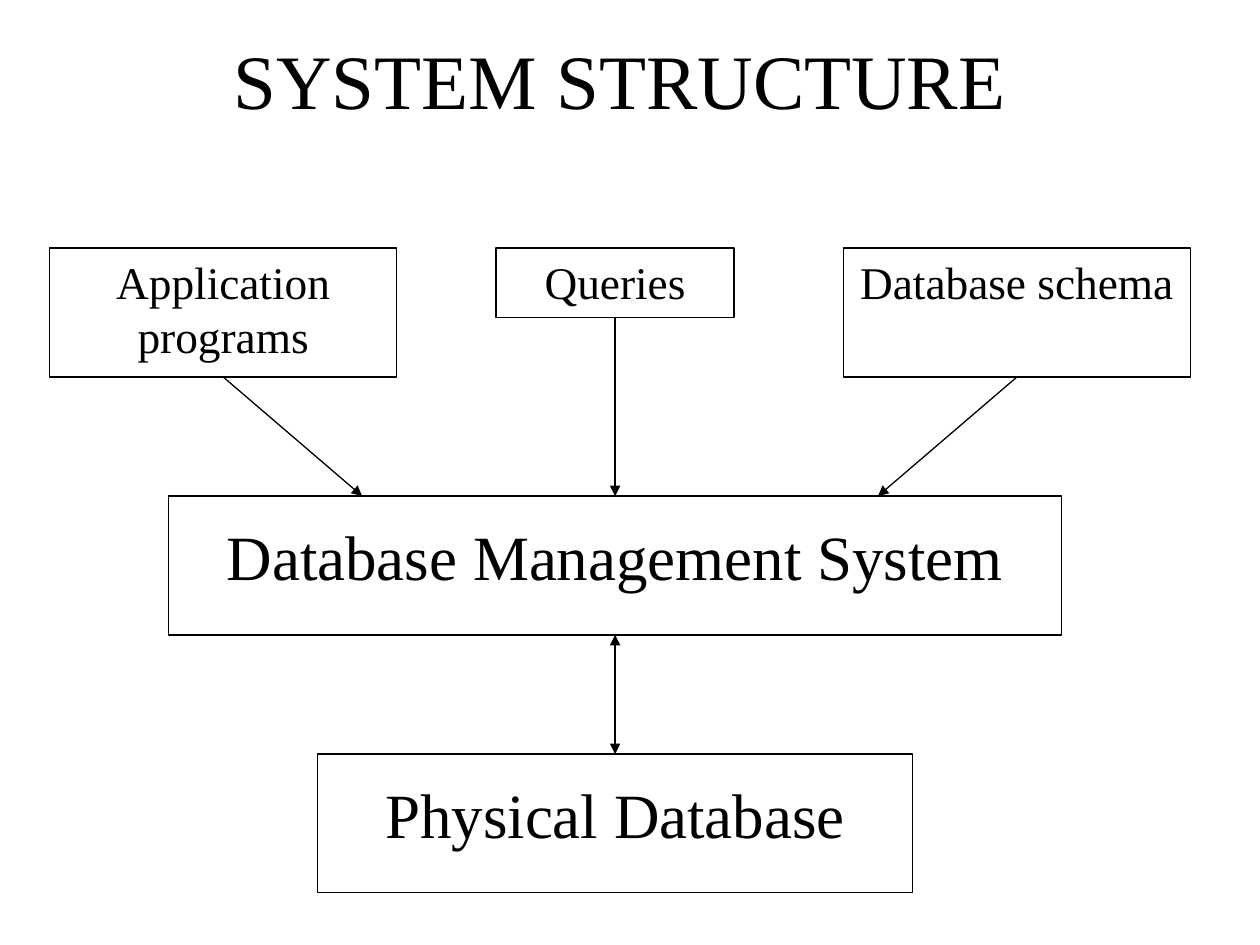
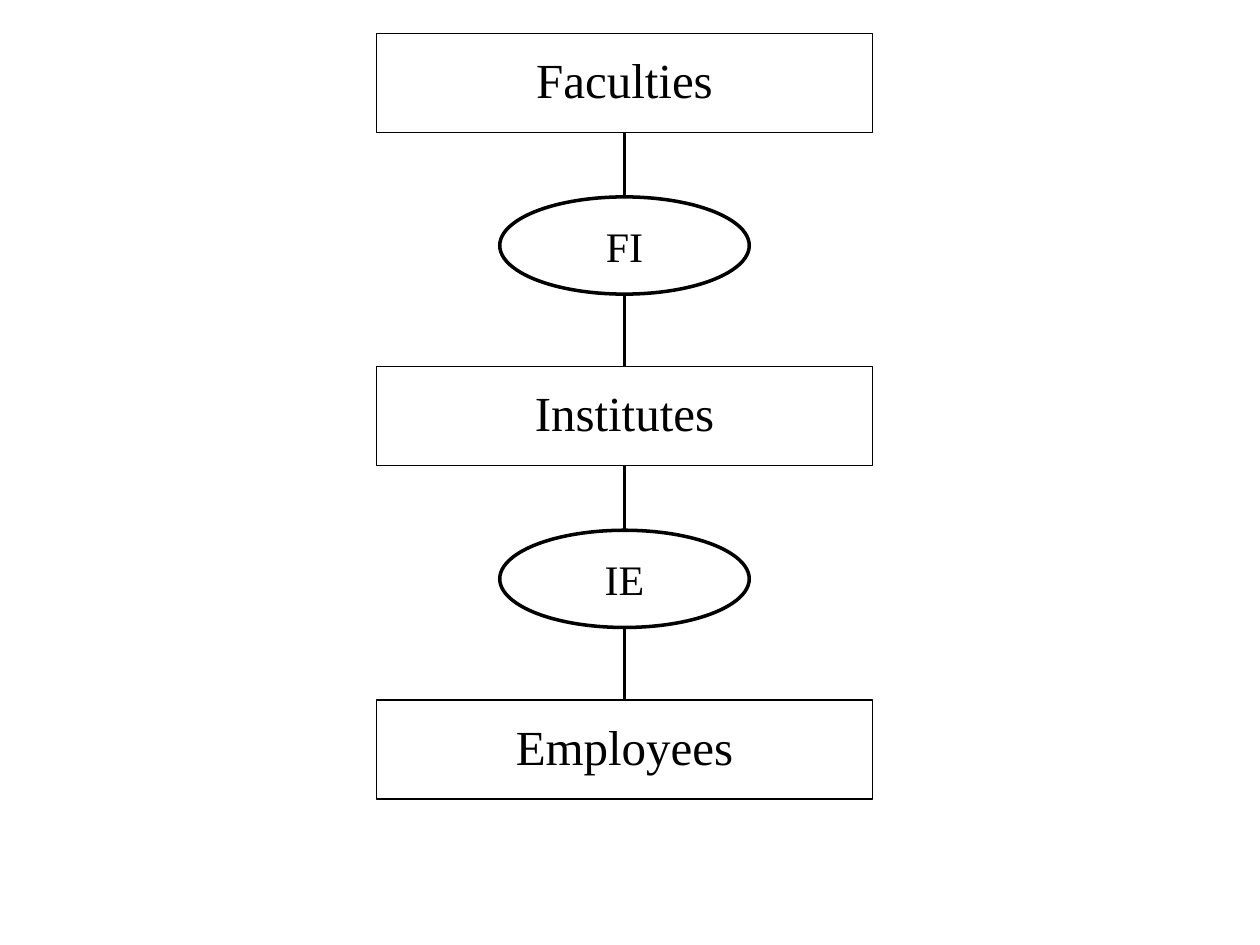
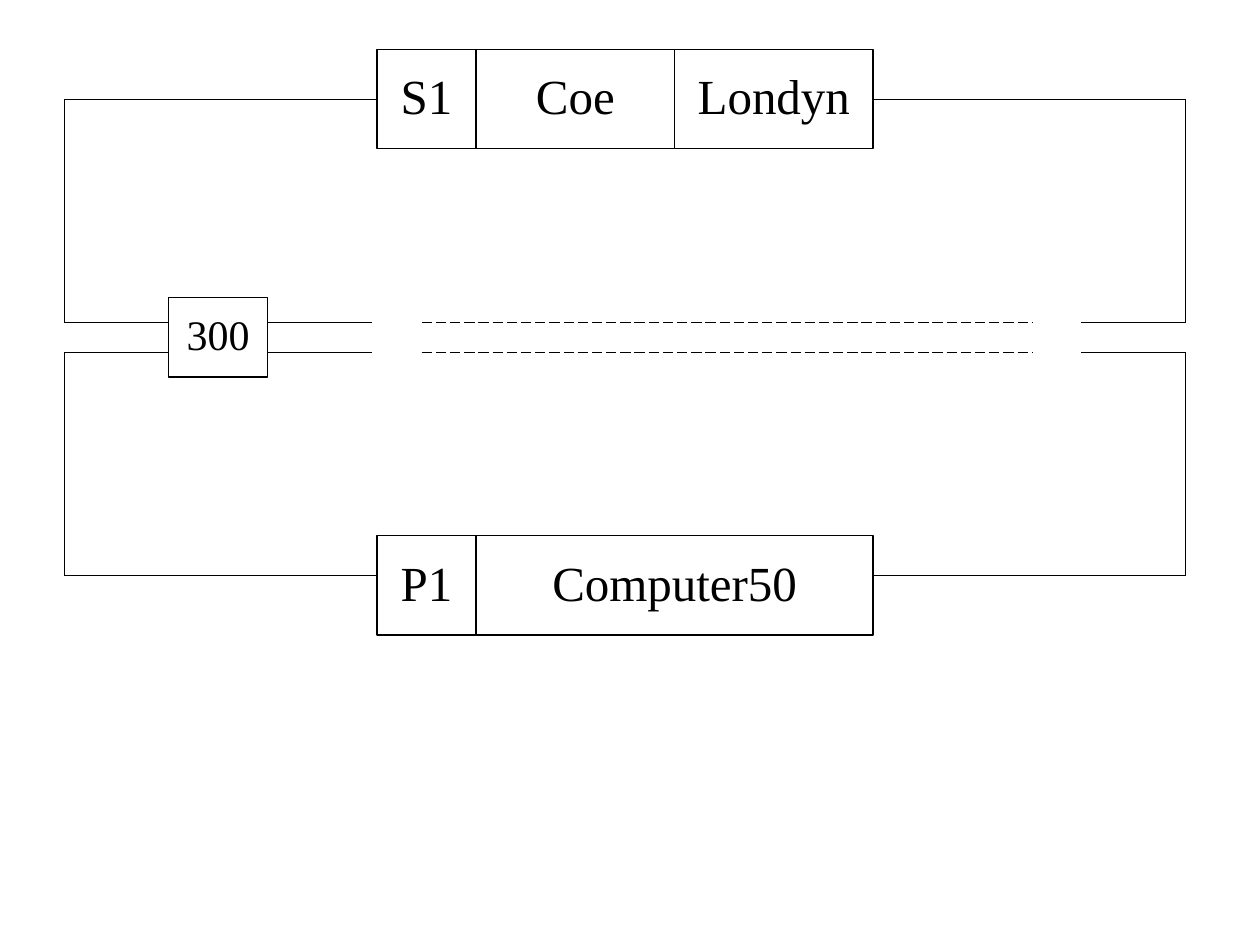
"""Three database diagrams: system structure, entity chain and record links."""
import dataclasses
import itertools

import pptx
import pptx.dml.color
import pptx.enum.dml
import pptx.enum.shapes
import pptx.enum.text
import pptx.oxml
import pptx.oxml.ns
import pptx.util

SHAPE = pptx.enum.shapes.MSO_SHAPE
COLUMNS, ROWS = 25.4, 19.05
TITLE_ONLY, BLANK = 5, 6


@dataclasses.dataclass(frozen=True)
class Theme:
    """Colours, font, type sizes and line widths in points."""
    ink: pptx.dml.color.RGBColor = pptx.dml.color.RGBColor(0, 0, 0)
    font: str = "Times New Roman"
    title: float = 44
    system: float = 36
    record: float = 28
    source: float = 25.9
    label: float = 24
    thin: float = 0.74
    link: float = 1.76
    oval: float = 2.01


def assign(target, values):
    """Set every attribute named in a dict of format values."""
    for name, value in values.items():
        setattr(target, name, value)


class Diagram:
    """Holds the theme, the grid and the slide being drawn."""

    def __init__(self, theme):
        """Open a presentation of 10 by 7.5 inches."""
        self.theme = theme
        self.deck = pptx.Presentation()
        assign(self.deck, {"slide_width": pptx.util.Inches(10),
                           "slide_height": pptx.util.Inches(7.5)})
        self.slide = None

    def new_slide(self, layout):
        """Start a slide on the given layout."""
        self.slide = self.deck.slides.add_slide(self.deck.slide_layouts[layout])

    def grid(self, *lengths):
        """Turn alternating columns and rows into slide lengths."""
        units = itertools.cycle((self.deck.slide_width / COLUMNS,
                                 self.deck.slide_height / ROWS))
        return [round(length * unit) for length, unit in zip(lengths, units)]

    def letter(self, holder, words, size, inset=0.05, before=0):
        """Put centred text at the top of a shape."""
        frame = holder.text_frame
        frame.text = words
        assign(frame, {
            "word_wrap": True,
            "auto_size": pptx.enum.text.MSO_AUTO_SIZE.NONE,
            "vertical_anchor": pptx.enum.text.MSO_ANCHOR.TOP,
            "margin_left": pptx.util.Inches(0.1),
            "margin_right": pptx.util.Inches(0.1),
            "margin_top": pptx.util.Inches(inset),
            "margin_bottom": pptx.util.Inches(0.05)})
        paragraph = frame.paragraphs[0]
        assign(paragraph, {"alignment": pptx.enum.text.PP_ALIGN.CENTER,
                           "space_before": pptx.util.Pt(before)})
        assign(paragraph.font, {"name": self.theme.font,
                                "size": pptx.util.Pt(size)})
        paragraph.font.color.rgb = self.theme.ink

    def stroke(self, line, width):
        """Give a line its colour and width."""
        line.color.rgb = self.theme.ink
        line.width = pptx.util.Pt(width)

    def title(self, words, place):
        """Fill and move the title placeholder."""
        heading = self.slide.shapes.title
        assign(heading, dict(zip(("left", "top", "width", "height"),
                                 self.grid(*place))))
        self.letter(heading, words, self.theme.title, before=27.5)

    def outline(self, kind, place, width):
        """Draw an unfilled preset shape."""
        figure = self.slide.shapes.add_shape(kind, *self.grid(*place))
        figure.shadow.inherit = False
        figure.fill.background()
        self.stroke(figure.line, width)
        return figure

    def box(self, words, place, size, inset=0.13, before=17.5):
        """Draw a thin rectangle with text."""
        frame = self.outline(SHAPE.RECTANGLE, place, self.theme.thin)
        self.letter(frame, words, size, inset, before)

    def relation(self, words, centre, top, width, height):
        """Draw an oval with a label over its middle."""
        self.outline(SHAPE.OVAL, (centre - width / 2, top, width, height),
                     self.theme.oval)
        label_width, label_height = 2.18, 1.27
        label = self.slide.shapes.add_textbox(*self.grid(
            centre - label_width / 2, top + (height - label_height) / 2,
            label_width, label_height))
        self.letter(label, words, self.theme.label)

    def line(self, start, end, width=None, ends=(), dashed=False):
        """Draw a line, with arrowheads at the named ends."""
        connector = self.slide.shapes.add_connector(
            pptx.enum.shapes.MSO_CONNECTOR.STRAIGHT, *self.grid(*start, *end))
        self.stroke(connector.line, width or self.theme.thin)
        if dashed:
            connector.line.dash_style = pptx.enum.dml.MSO_LINE.LONG_DASH
        properties = connector._element.spPr
        for name in ends:
            head = pptx.oxml.parse_xml(
                f'<a:{name} {pptx.oxml.ns.nsdecls("a")} type="triangle"/>')
            properties.get_or_add_ln().append(head)
        properties.append(pptx.oxml.parse_xml(
            f'<a:effectLst {pptx.oxml.ns.nsdecls("a")}/>'))

    def record(self, fields, left, top, height):
        """Draw the fields of a record side by side."""
        for words, width in fields:
            self.box(words, (left, top, width, height), self.theme.record)
            left += width


def system_structure(diagram):
    """Show three sources feeding the system above its database."""
    diagram.new_slide(TITLE_ONLY)
    diagram.title("SYSTEM STRUCTURE", (2.5, 0.53, 20, 2.4))
    source_top, system_top, store_top, tall = 5, 10, 15.2, 2.8
    middle = 12.4
    sources = (("Application programs", 4.5, 7, 2.6, 7.3),
               ("Queries", middle, 4.8, 1.4, middle),
               ("Database schema", 20.5, 7, 2.6, 17.7))
    for words, centre, width, height, target in sources:
        diagram.box(words, (centre - width / 2, source_top, width, height),
                    diagram.theme.source, inset=0.05)
        diagram.line((centre, source_top + height), (target, system_top),
                     ends=("tailEnd",))
    for words, top, width in (("Database Management System", system_top, 18),
                              ("Physical Database", store_top, 12)):
        diagram.box(words, (middle - width / 2, top, width, tall),
                    diagram.theme.system, inset=0.17, before=22.5)
    diagram.line((middle, system_top + tall), (middle, store_top),
                 ends=("headEnd", "tailEnd"))


def entity_chain(diagram):
    """Show entities linked downwards through relations."""
    diagram.new_slide(BLANK)
    first, pitch, centre = 0.67, 6.72, 12.59
    width, height = 10, 2
    oval_width, oval_height, oval_drop = 5.03, 1.96, 3.3
    for row, words in enumerate(("Faculties", "Institutes", "Employees")):
        diagram.box(words, (centre - width / 2, first + row * pitch,
                            width, height), diagram.theme.record)
    for row, words in enumerate(("FI", "IE")):
        top = first + row * pitch
        oval_top = top + oval_drop
        diagram.relation(words, centre, oval_top, oval_width, oval_height)
        for start, end in ((top + height, oval_top),
                           (oval_top + oval_height, top + pitch)):
            diagram.line((centre, start), (centre, end), diagram.theme.link)


def record_links(diagram):
    """Show two records joined in rings through a quantity."""
    diagram.new_slide(BLANK)
    record_left, record_right, side = 7.6, 17.6, 2
    ring_left, ring_right = 1.3, 23.9
    quantity_left, quantity_width = 3.4, 2
    quantity_right = quantity_left + quantity_width
    diagram.box("300", (quantity_left, 6, quantity_width, 1.6),
                diagram.theme.label, inset=0.09, before=15)
    diagram.record((("S1", 2), ("Coe", 4), ("Londyn", 4)), record_left, 1, side)
    diagram.record((("P1", 2), ("Computer50", 8)), record_left, 10.8, side)
    for outer, inner in ((2, 6.5), (11.6, 7.1)):
        for edge, record_edge in ((ring_left, record_left),
                                  (ring_right, record_right)):
            diagram.line((edge, outer), (record_edge, outer))
            diagram.line((edge, outer), (edge, inner))
        for start, end in ((ring_left, quantity_left), (quantity_right, 7.5),
                           (21.8, ring_right)):
            diagram.line((start, inner), (end, inner))
        diagram.line((8.5, inner), (20.8, inner), dashed=True)


def main():
    """Build the slides and save them."""
    diagram = Diagram(Theme())
    for draw in (system_structure, entity_chain, record_links):
        draw(diagram)
    diagram.deck.save("out.pptx")


main()
